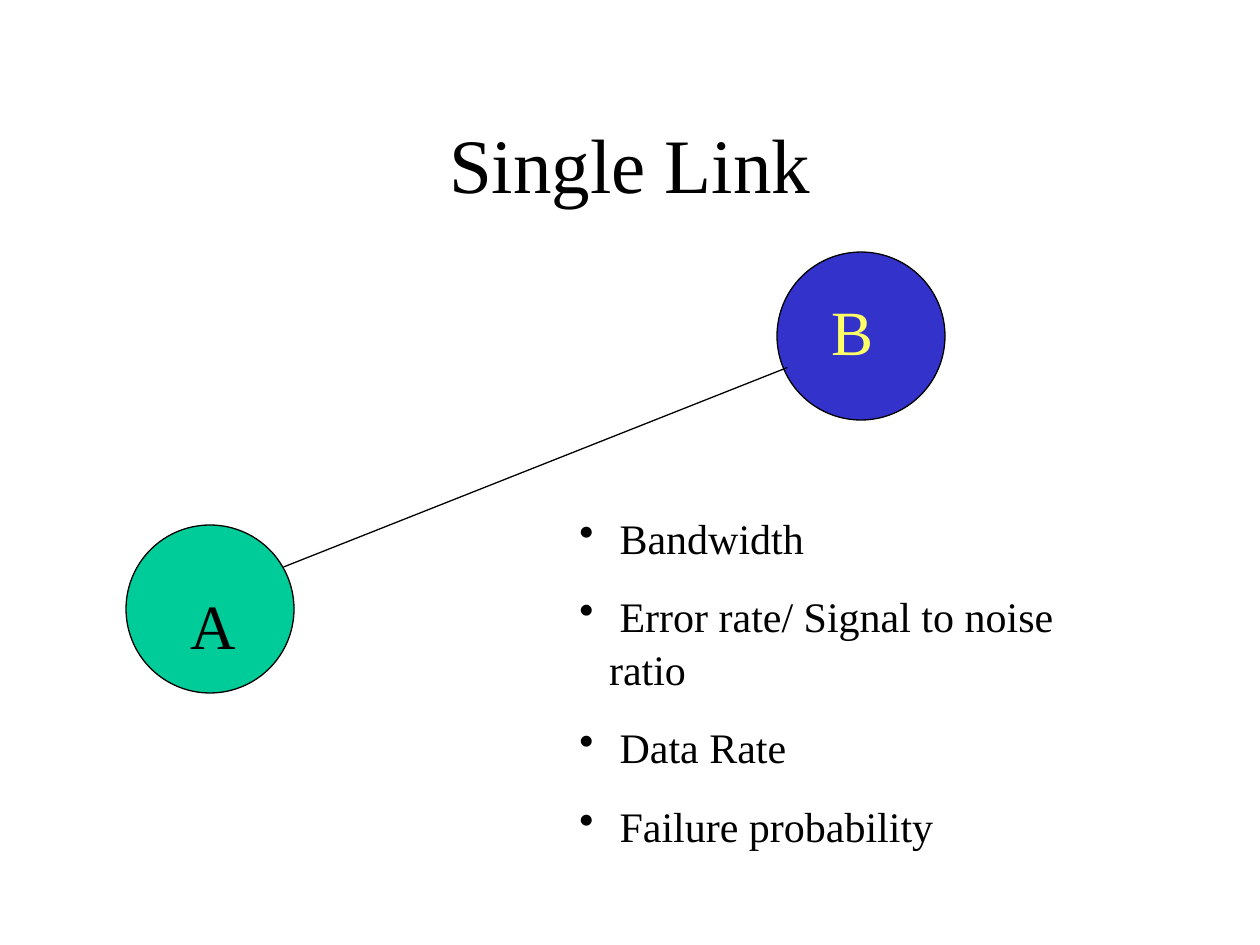
from lxml import etree
from pptx import Presentation
from pptx.dml.color import RGBColor
from pptx.enum import shapes, text
from pptx.oxml.ns import qn
from pptx.util import Pt

# Content: lengths in points
TITLE = "Single Link"
COLORS = {"ink": "000000", "green": "00CC99", "blue": "3333CC", "yellow": "FFFF66"}
FONT = "Times New Roman"
SIZE = 96  # node diameter
NODES = [  # node left, top, fill; label, its left, top, width, colour
    (72, 300, "green", "A", 102, 330, 36, "ink"),
    (444, 144, "blue", "B", 468, 162, 42, "yellow"),
]
LINK = (162, 324, 450, 210)
FACTS = [" Bandwidth", " Error rate/ Signal to noise ratio", " Data Rate",
         " Failure probability"]
HANG = 17


def color(name):
    return RGBColor.from_string(COLORS[name])


def style(para, size, ink="ink", **form):
    for key, val in form.items():
        setattr(para, key, val)
    for key, val in {"name": FONT, "size": Pt(size)}.items():
        setattr(para.font, key, val)
    para.font.color.rgb = color(ink)


def outline(shape):
    shape.line.color.rgb = color("ink")
    shape.line.width = Pt(0.75)


def add_box(slide, *place):
    frame = slide.shapes.add_textbox(*map(Pt, place)).text_frame
    frame.word_wrap = True
    frame.auto_size = text.MSO_AUTO_SIZE.SHAPE_TO_FIT_TEXT
    return frame


def add_bullet(para):
    props = para._p.get_or_add_pPr()
    props.set("marL", str(Pt(HANG)))
    props.set("indent", str(-Pt(HANG)))
    etree.SubElement(props, qn("a:buChar"), char="•")


prs = Presentation()
prs.slide_width, prs.slide_height = Pt(720), Pt(540)
slide = prs.slides.add_slide(prs.slide_layouts[5])

# Title
title = slide.shapes.title
for key, val in {"left": 54, "top": 48, "width": 612, "height": 90}.items():
    setattr(title, key, Pt(val))
title.text_frame.text = TITLE
title.text_frame.vertical_anchor = text.MSO_ANCHOR.MIDDLE
style(title.text_frame.paragraphs[0], 44, alignment=text.PP_ALIGN.CENTER)

# Nodes
for left, top, fill, *_ in NODES:
    node = slide.shapes.add_shape(
        shapes.MSO_SHAPE.OVAL, *map(Pt, (left, top, SIZE, SIZE)))
    node.shadow.inherit = False
    node.fill.solid()
    node.fill.fore_color.rgb = color(fill)
    outline(node)

# Link
link = slide.shapes.add_connector(shapes.MSO_CONNECTOR.STRAIGHT, *map(Pt, LINK))
outline(link)
etree.SubElement(link._element.spPr, qn("a:effectLst"))

# Node labels
for *_, name, left, top, width, ink in NODES:
    frame = add_box(slide, left, top, width, 50.4)
    frame.text = name
    style(frame.paragraphs[0], 36, ink, line_spacing=1.04)

# Link properties
frame = add_box(slide, 324, 288, 330, 168)
for i, fact in enumerate(FACTS):
    para = frame.add_paragraph() if i else frame.paragraphs[0]
    para.text = fact
    add_bullet(para)
    style(para, 24, line_spacing=1.04, space_before=Pt(15 if i else 0))

prs.save("out.pptx")
